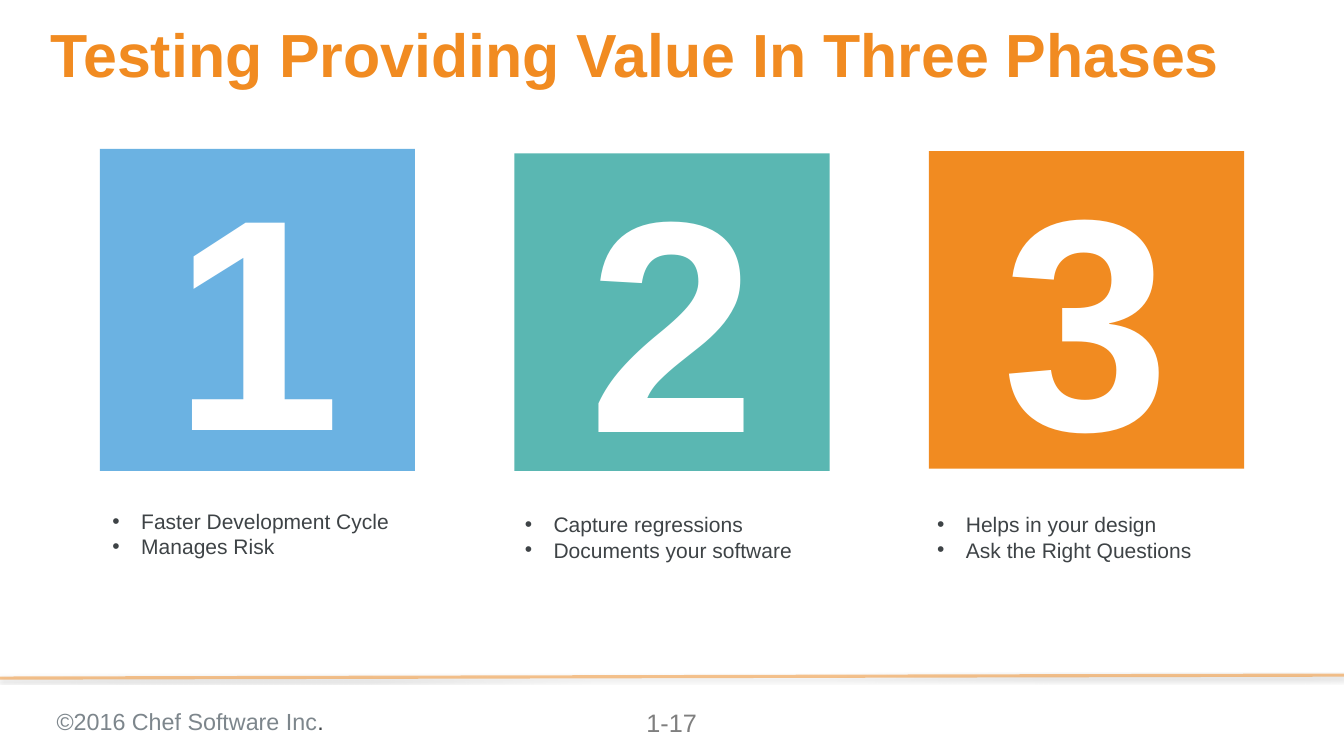
from dataclasses import dataclass

from lxml import etree
from pptx import Presentation
from pptx.dml.color import RGBColor
from pptx.enum.shapes import MSO_CONNECTOR, MSO_SHAPE
from pptx.enum.text import MSO_ANCHOR, PP_ALIGN
from pptx.oxml import parse_xml
from pptx.oxml.ns import nsdecls, qn
from pptx.slide import Slide
from pptx.text.text import TextFrame, _Paragraph
from pptx.util import Inches, Pt

RECTANGLE = MSO_SHAPE.RECTANGLE
STRAIGHT = MSO_CONNECTOR.STRAIGHT
MIDDLE = MSO_ANCHOR.MIDDLE
CENTER = PP_ALIGN.CENTER

FONT = "Arial"
COLORS = {
    "orange": "F18B21",
    "blue": "6BB2E2",
    "teal": "5AB7B2",
    "white": "FFFFFF",
    "text": "3E4346",
    "copyright": "7D868C",
    "number": "7F7F7F",
}
TILE_LEFT, TILE_PITCH, TILE_WIDTH = 1.32, 5.485, 4.17
LIST_LEFT, LIST_PITCH = 1.39, 5.455
LIST_WIDTH, LIST_HEIGHT = 4, 1.94
BULLET_INDENT = 0.38


@dataclass
class Phase:
    color: str
    tile_top: float
    tile_height: float
    list_top: float
    points: tuple[str, ...]


PHASES = (
    Phase("blue", 1.97, 4.26, 6.63, ("Faster Development Cycle", "Manages Risk")),
    Phase("teal", 2.03, 4.2, 6.67, ("Capture regressions", "Documents your software")),
    Phase("orange", 2, 4.2, 6.67, ("Helps in your design", "Ask the Right Questions")),
)


def add_run(paragraph: _Paragraph, text: str, size: float, color: str, bold: bool = False) -> None:
    run = paragraph.add_run()
    run.text = text
    run.font.name = FONT
    run.font.size = Pt(size)
    run.font.bold = bold
    run.font.color.rgb = RGBColor.from_string(COLORS[color])


def add_text_box(
    slide: Slide, left: float, top: float, width: float, height: float, inset: float = 0.1
) -> TextFrame:
    shape = slide.shapes.add_textbox(Inches(left), Inches(top), Inches(width), Inches(height))
    frame = shape.text_frame
    frame.word_wrap = True
    frame.margin_left = frame.margin_right = Inches(inset)
    frame.margin_top = frame.margin_bottom = Inches(inset)
    return frame


def add_bullet(paragraph: _Paragraph) -> None:
    properties = paragraph._p.get_or_add_pPr()
    properties.set("marL", str(Inches(BULLET_INDENT)))
    properties.set("indent", str(-Inches(BULLET_INDENT)))
    etree.SubElement(properties, qn("a:buFont")).set("typeface", FONT)
    etree.SubElement(properties, qn("a:buChar")).set("char", "•")


def add_tile(slide: Slide, index: int, phase: Phase) -> None:
    tile = slide.shapes.add_shape(
        RECTANGLE,
        Inches(TILE_LEFT + index * TILE_PITCH),
        Inches(phase.tile_top),
        Inches(TILE_WIDTH),
        Inches(phase.tile_height),
    )
    tile.shadow.inherit = False
    tile.fill.solid()
    tile.fill.fore_color.rgb = RGBColor.from_string(COLORS[phase.color])
    tile.line.fill.background()
    tile.text_frame.vertical_anchor = MIDDLE
    paragraph = tile.text_frame.paragraphs[0]
    paragraph.alignment = CENTER
    add_run(paragraph, str(index + 1), 287, "white", bold=True)


def add_points(slide: Slide, index: int, phase: Phase) -> None:
    left = LIST_LEFT + index * LIST_PITCH
    frame = add_text_box(slide, left, phase.list_top, LIST_WIDTH, LIST_HEIGHT)
    for position, point in enumerate(phase.points):
        paragraph = frame.add_paragraph() if position else frame.paragraphs[0]
        add_bullet(paragraph)
        add_run(paragraph, point, 20, "text")


def add_footer(slide: Slide) -> None:
    rule = slide.shapes.add_connector(
        STRAIGHT, Inches(17.78), Inches(8.93), Inches(0), Inches(8.97)
    )
    rule.line.width = Pt(3)
    rule.line.color.rgb = RGBColor.from_string(COLORS["orange"])
    properties = rule._element.spPr
    color = properties.find(".//" + qn("a:srgbClr"))
    etree.SubElement(color, qn("a:alpha")).set("val", "50000")
    properties.append(parse_xml(
        f'<a:effectLst {nsdecls("a")}>'
        f'<a:outerShdw blurRad="{Pt(3.1)}" dist="{Pt(1.8)}" dir="5400000" rotWithShape="0">'
        '<a:srgbClr val="000000"><a:alpha val="35000"/></a:srgbClr>'
        "</a:outerShdw></a:effectLst>"
    ))

    copyright_line = add_text_box(slide, 0.65, 9.25, 5.9, 0.52).paragraphs[0]
    add_run(copyright_line, "©2016 Chef Software Inc", 22.2, "copyright")
    add_run(copyright_line, ".", 22.2, "text")

    page_number = add_text_box(slide, 8.1, 9.25, 1.57, 0.57).paragraphs[0]
    page_number.alignment = CENTER
    add_run(page_number, "1-17", 24, "number")


def main() -> None:
    presentation = Presentation()
    presentation.slide_width = Inches(17.78)
    presentation.slide_height = Inches(10)
    slide = presentation.slides.add_slide(presentation.slide_layouts[6])

    add_footer(slide)
    title = add_text_box(slide, 0.67, 0.33, 16.33, 0.91, inset=0).paragraphs[0]
    title.line_spacing = 0.9
    add_run(title, "Testing Providing Value In Three Phases", 58, "orange", bold=True)
    for index, phase in enumerate(PHASES):
        add_tile(slide, index, phase)
        add_points(slide, index, phase)

    presentation.save("out.pptx")


if __name__ == "__main__":
    main()
